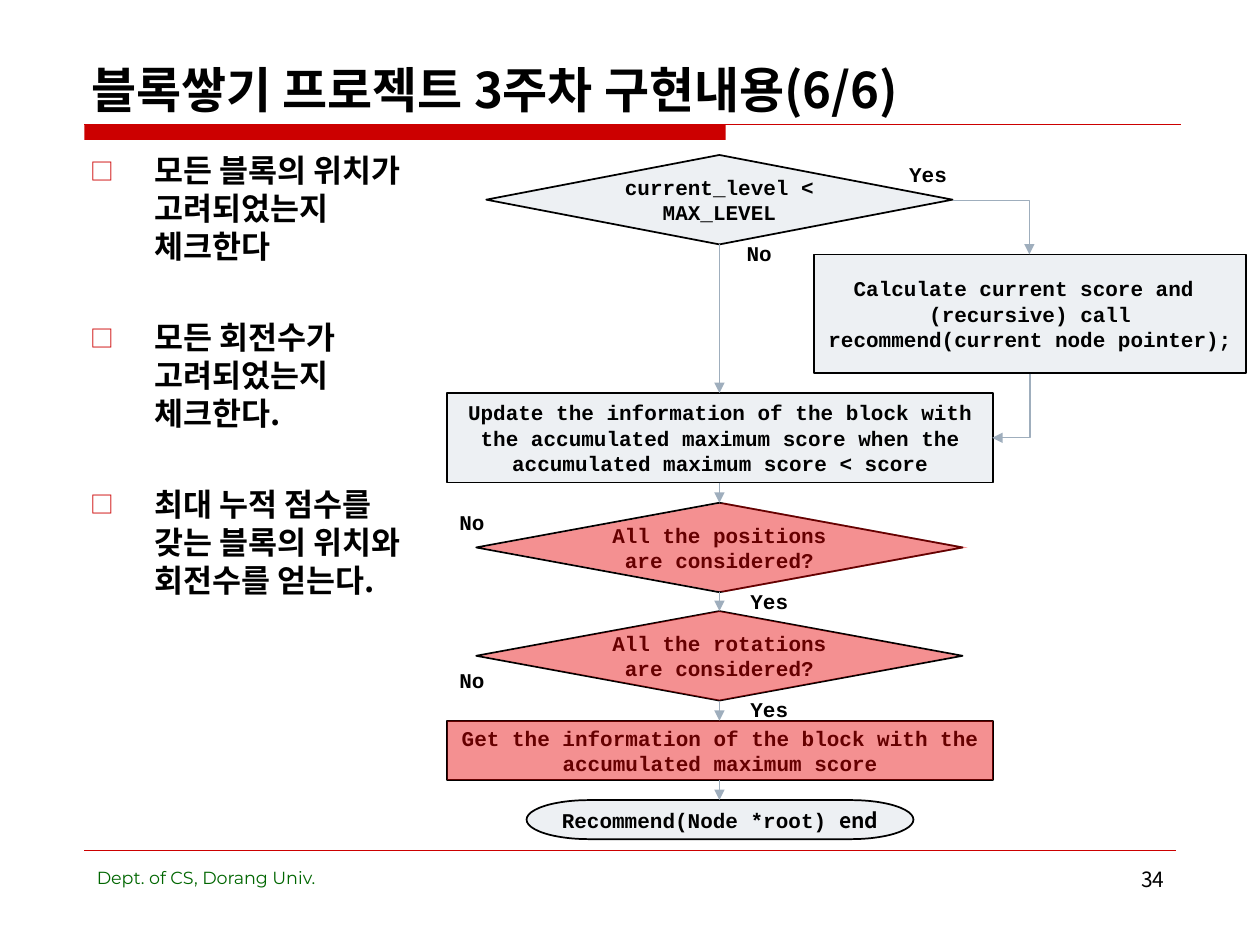
from lxml import etree
from pptx import Presentation
from pptx import util as u
from pptx.dml.color import RGBColor
from pptx.enum import shapes, text
from pptx.oxml.ns import qn

PX = 9144
RED = RGBColor(0xCC, 0x00, 0x00)
HIGHLIGHT = RGBColor(0xFF, 0x00, 0x00)
BLACK = RGBColor(0x00, 0x00, 0x00)
GREEN = RGBColor(0x00, 0x66, 0x00)
PALE = RGBColor(0xED, 0xF0, 0xF3)
GREY = RGBColor(0x9F, 0xAE, 0xBD)
KOREAN = "Noto Sans CJK KR"
MONO = "Courier New"
KIND = shapes.MSO_SHAPE
ALIGN = text.PP_ALIGN
ANCHOR = text.MSO_ANCHOR


def emu(*lengths):
    return [u.Emu(length * PX) for length in lengths]


def format_run(run, size, name, color, bold):
    run.font.size = u.Pt(size)
    run.font.name = name
    run.font.bold = bold
    run.font.color.rgb = color
    east_asian = etree.SubElement(run.font._element, qn("a:ea"))
    east_asian.set("typeface", name)


def write(shape, content, size, name, color=BLACK, bold=True,
          align=ALIGN.LEFT, anchor=ANCHOR.TOP, spacing=None):
    frame = shape.text_frame
    frame.text = content
    frame.word_wrap = True
    frame.vertical_anchor = anchor
    for paragraph in frame.paragraphs:
        paragraph.alignment = align
        if spacing:
            paragraph.line_spacing = u.Pt(spacing)
        for run in paragraph.runs:
            format_run(run, size, name, color, bold)
    return frame


def add_text(slide, box, content, size, name, **style):
    return write(slide.shapes.add_textbox(*emu(*box)), content, size, name, **style)


def add_block(slide, kind, box, fill, line=None):
    shape = slide.shapes.add_shape(kind, *emu(*box))
    shape.shadow.inherit = False
    shape.fill.solid()
    shape.fill.fore_color.rgb = fill
    if line is None:
        shape.line.fill.background()
    else:
        shape.line.color.rgb = line
        shape.line.width = u.Pt(1)
    return shape


def add_line(slide, start, end, color, width, arrow=False, preset="line", rotation=0):
    connector = slide.shapes.add_connector(
        shapes.MSO_CONNECTOR.STRAIGHT, *emu(*start, *end))
    connector.line.color.rgb = color
    connector.line.width = u.Pt(width)
    properties = connector._element.spPr
    properties.find(qn("a:prstGeom")).set("prst", preset)
    if rotation:
        properties.find(qn("a:xfrm")).set("rot", str(rotation * 60000))
    if arrow:
        etree.SubElement(connector.line._get_or_add_ln(), qn("a:tailEnd")).set("type", "triangle")
    etree.SubElement(properties, qn("a:effectLst"))


def add_heading(slide, left, top, width):
    add_text(slide, (left - 4, top, width + 5, 66), "블록쌓기 프로젝트 3주차 구현내용(6/6)",
             28, KOREAN, anchor=ANCHOR.BOTTOM)
    add_block(slide, KIND.RECTANGLE, (left, top + 66, 509, 12), RED)
    add_line(slide, (left, top + 66), (left + width, top + 66), RED, 0.75)


def add_bullets(slide, box):
    items = ["모든 블록의 위치가 고려되었는지 체크한다",
             "모든 회전수가 고려되었는지 체크한다.",
             "최대 누적 점수를 갖는 블록의 위치와 회전수를 얻는다."]
    frame = add_text(slide, box, "\n".join(items), 18, KOREAN, spacing=21.7)
    for index, paragraph in enumerate(frame.paragraphs):
        paragraph.space_before = u.Pt(30.2 if index else 4.5)
        properties = paragraph._element.get_or_add_pPr()
        properties.set("marL", str(51 * PX))
        properties.set("indent", str(-51 * PX))
        color = etree.SubElement(properties, qn("a:buClr"))
        etree.SubElement(color, qn("a:srgbClr")).set("val", str(RED))
        etree.SubElement(properties, qn("a:buSzPct")).set("val", "75000")
        etree.SubElement(properties, qn("a:buFont")).set("typeface", KOREAN)
        etree.SubElement(properties, qn("a:buChar")).set("char", "□")


def add_flowchart(slide, left, top):
    center = left + 224
    decision, process = KIND.FLOWCHART_DECISION, KIND.RECTANGLE
    steps = [
        (decision, 0, 370, 71, "current_level < MAX_LEVEL"),
        (process, 189, 433, 71, "Update the information of the block with the accumulated "
                                "maximum score when the accumulated maximum score < score"),
        (decision, 276, 386, 71, "All the positions are considered?"),
        (decision, 362, 386, 71, "All the rotations are considered?"),
        (process, 449, 433, 47, "Get the information of the block with the "
                                "accumulated maximum score"),
        (KIND.FLOWCHART_TERMINATOR, 512, 307, 31, "Recommend(Node *root) "),
    ]
    style = dict(align=ALIGN.CENTER, anchor=ANCHOR.MIDDLE, spacing=14.5)
    for kind, offset, width, height, label in steps:
        box = (center - width // 2, top + offset, width, height)
        shape = add_block(slide, kind, box, PALE, BLACK)
        frame = write(shape, label, 12, MONO, **style)
    ending = frame.paragraphs[0].add_run()
    ending.text = "end"
    format_run(ending, 12, KOREAN, BLACK, True)

    for (_, offset, _, height, _), (_, following, *_) in zip(steps, steps[1:]):
        add_line(slide, (center, top + offset + height), (center, top + following),
                 GREY, 0.75, arrow=True)

    recursion = add_block(slide, process, (left + 299, top + 79, 343, 94), PALE, BLACK)
    write(recursion, "Calculate current score and \n(recursive) call "
                     "recommend(current node pointer);", 12, MONO, **style)
    for start, end, rotation in [((409, 36), (470, 79), 0), ((430, 184), (481, 214), 90)]:
        add_line(slide, (left + start[0], top + start[1]), (left + end[0], top + end[1]),
                 GREY, 0.75, True, "bentConnector2", rotation)

    for label, x, y in [("Yes", 362, 0), ("No", 228, 63), ("No", 0, 276),
                        ("Yes", 236, 339), ("No", 0, 402), ("Yes", 236, 425)]:
        add_text(slide, (left + x, top + y, 55, 30), label, 12, MONO,
                 align=ALIGN.CENTER, spacing=14.5)

    for kind, x, y, width, height in [(decision, 35, 276, 386, 71),
                                      (decision, 35, 362, 378, 71),
                                      (KIND.FLOWCHART_PROCESS, 8, 449, 433, 47)]:
        overlay = add_block(slide, kind, (left + x, top + y, width, height), HIGHLIGHT)
        color = overlay._element.spPr.find(qn("a:solidFill"))[0]
        etree.SubElement(color, qn("a:alpha")).set("val", "40000")


def add_footer(slide, left, top, width):
    add_line(slide, (left, top), (left + width, top), RED, 0.25)
    add_text(slide, (left, top + 8, 355, 52), "Dept. of CS, Dorang Univ.",
             10, "Montserrat", color=GREEN, bold=False)
    add_text(slide, (left + width - 216, top + 8, 217, 52), "34",
             12, KOREAN, bold=False, align=ALIGN.RIGHT)


def main():
    presentation = Presentation()
    presentation.slide_width, presentation.slide_height = emu(1000, 750)
    slide = presentation.slides.add_slide(presentation.slide_layouts[6])
    add_heading(slide, 67, 33, 870)
    add_bullets(slide, (62, 115, 288, 543))
    add_flowchart(slide, 347, 123)
    add_footer(slide, 67, 675, 866)
    presentation.save("out.pptx")


if __name__ == "__main__":
    main()
